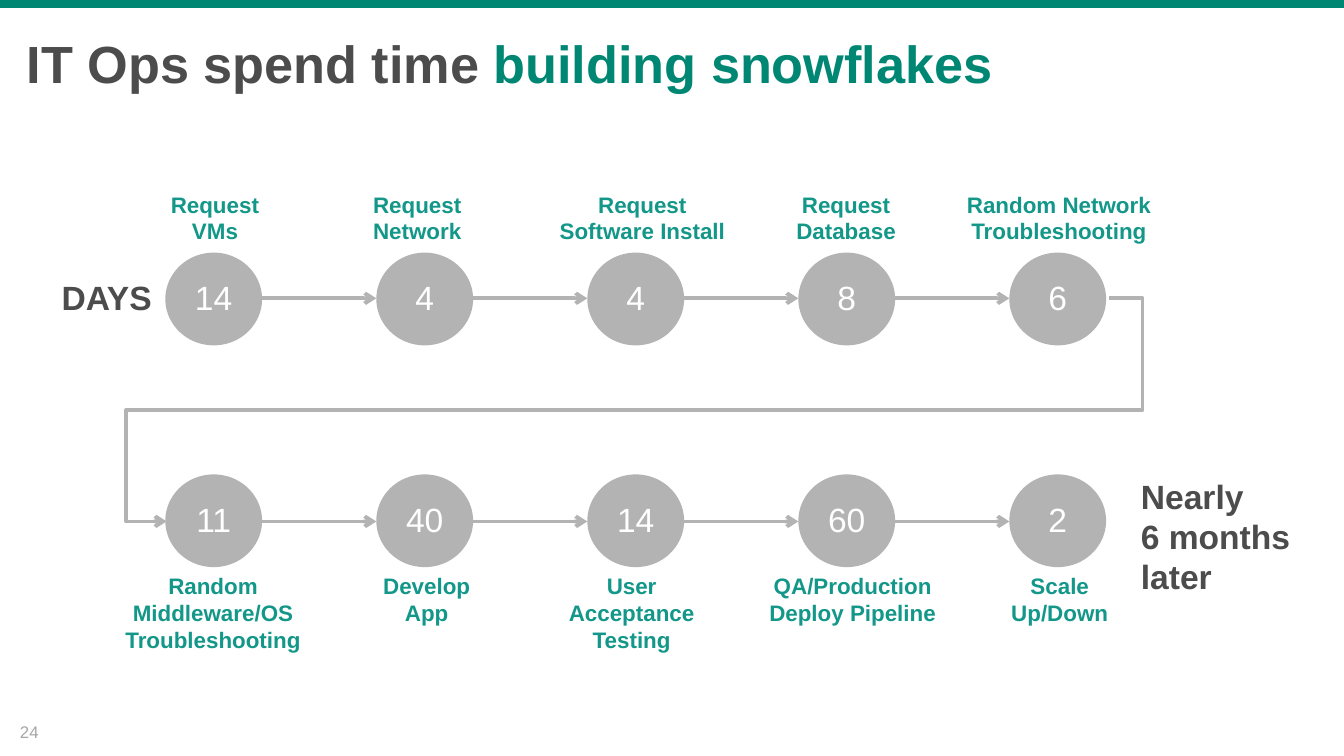
from dataclasses import dataclass

from lxml.etree import SubElement
from pptx import Presentation
from pptx.dml.color import RGBColor
from pptx.enum.shapes import MSO_CONNECTOR, MSO_SHAPE
from pptx.enum.text import MSO_ANCHOR, PP_ALIGN
from pptx.oxml.ns import qn
from pptx.util import Inches, Pt

GREEN, TEAL, DARK = "008774", "139789", "4C4C4C"
GRAY, PALE, WHITE = "B3B3B3", "A6A6A6", "FFFFFF"
LEFT, STEP, WIDE, HIGH = 1.23, 1.57, 0.72, 0.69


@dataclass
class Stage:
    days: str
    label: str
    left: float
    width: float


@dataclass
class Row:
    top: float
    label_top: float
    line: float
    stages: list[Stage]


ROWS = [
    Row(1.88, 1.37, 2.22, [
        Stage("14", "Request VMs", 1.17, 0.86),
        Stage("4", "Request Network", 2.54, 1.13),
        Stage("4", "Request Software Install", 4.05, 1.46),
        Stage("8", "Request Database", 5.72, 1.15),
        Stage("6", "Random Network Troubleshooting", 6.9, 1.96),
    ]),
    Row(3.53, 4.21, 3.88, [
        Stage("11", "Random Middleware/OS Troubleshooting", 0.79, 1.59),
        Stage("40", "Develop App", 2.59, 1.17),
        Stage("14", "User Acceptance Testing", 3.96, 1.48),
        Stage("60", "QA/Production\vDeploy Pipeline", 5.58, 1.53),
        Stage("2", "Scale Up/Down", 7.23, 1.31),
    ]),
]


def color(code: str) -> RGBColor:
    return RGBColor.from_string(code)


def write(shape, *parts, size=12, bold=True, align=PP_ALIGN.LEFT,
          anchor=MSO_ANCHOR.TOP, inset=0.1, bottom=0.05):
    frame = shape.text_frame
    frame.word_wrap = True
    frame.vertical_anchor = anchor
    frame.margin_left = frame.margin_right = Inches(inset)
    frame.margin_top, frame.margin_bottom = Inches(0.05), Inches(bottom)
    para = frame.paragraphs[0]
    para.alignment = align
    for text, code in parts:
        for order, piece in enumerate(text.split("\v")):
            if order:
                para.add_line_break()
            run = para.add_run()
            run.text = piece
            font = run.font
            font.name, font.size, font.bold = "Arial", Pt(size), bold
            font.color.rgb = color(code)


def box(slide, left: float, top: float, width: float, height: float):
    return slide.shapes.add_textbox(
        Inches(left), Inches(top), Inches(width), Inches(height))


def solid(slide, kind, left: float, top: float, width: float, height: float, code: str):
    shape = slide.shapes.add_shape(
        kind, Inches(left), Inches(top), Inches(width), Inches(height))
    shape.shadow.inherit = False
    shape.fill.solid()
    shape.fill.fore_color.rgb = color(code)
    shape.line.fill.background()
    return shape


def arrow(slide, kind, start: tuple[float, float], end: tuple[float, float]):
    link = slide.shapes.add_connector(kind, *map(Inches, start + end))
    link.line.color.rgb = color(GRAY)
    link.line.width = Pt(2)
    SubElement(link.line._get_or_add_ln(), qn("a:tailEnd"), type="arrow")
    SubElement(link._element.spPr, qn("a:effectLst"))
    return link


def bend(link, *ratios: int):
    shape = link._element.spPr.find(qn("a:prstGeom"))
    shape.set("prst", "bentConnector5")
    guides = shape.find(qn("a:avLst"))
    if guides is None:
        guides = SubElement(shape, qn("a:avLst"))
    for index, ratio in enumerate(ratios, 1):
        SubElement(guides, qn("a:gd"), name=f"adj{index}", fmla=f"val {ratio}")


def draw(slide, row: Row):
    for index, stage in enumerate(row.stages):
        left = LEFT + index * STEP
        disc = solid(slide, MSO_SHAPE.OVAL, left, row.top, WIDE, HIGH, GRAY)
        write(disc, (stage.days, WHITE), size=18, bold=False, inset=0, bottom=0.08,
              align=PP_ALIGN.CENTER, anchor=MSO_ANCHOR.MIDDLE)
        label = box(slide, stage.left, row.label_top, stage.width, 0.5)
        write(label, (stage.label, TEAL), align=PP_ALIGN.CENTER)
        if index:
            arrow(slide, MSO_CONNECTOR.STRAIGHT,
                  (left - STEP + WIDE, row.line), (left, row.line))


def main():
    deck = Presentation()
    deck.slide_width = Inches(10)
    deck.slide_height = deck.slide_width * 9 // 16
    slide = deck.slides.add_slide(deck.slide_layouts[5])
    solid(slide, MSO_SHAPE.RECTANGLE, 0, 0, 10, 0.06, GREEN)

    title = slide.shapes.title
    title.left, title.top = Inches(0.1), Inches(0.18)
    title.width, title.height = Inches(9.52), Inches(0.57)
    write(title, ("IT Ops spend time ", DARK), ("building snowflakes", GREEN), size=28)

    for row in ROWS:
        draw(slide, row)
    turn = arrow(slide, MSO_CONNECTOR.ELBOW,
                 (8.25, ROWS[0].line), (1.24, ROWS[1].line))
    bend(turn, -3600, 50000, 104300)

    write(box(slide, 0.36, 2.01, 0.93, 0.4), ("DAYS", DARK), size=18)
    write(box(slide, 8.39, 3.49, 1.41, 1.01),
          ("Nearly \v6 months \vlater", DARK), size=18)
    write(box(slide, 0.05, 5.32, 0.41, 0.3), ("24", PALE), size=9, bold=False)
    deck.save("out.pptx")


if __name__ == "__main__":
    main()
